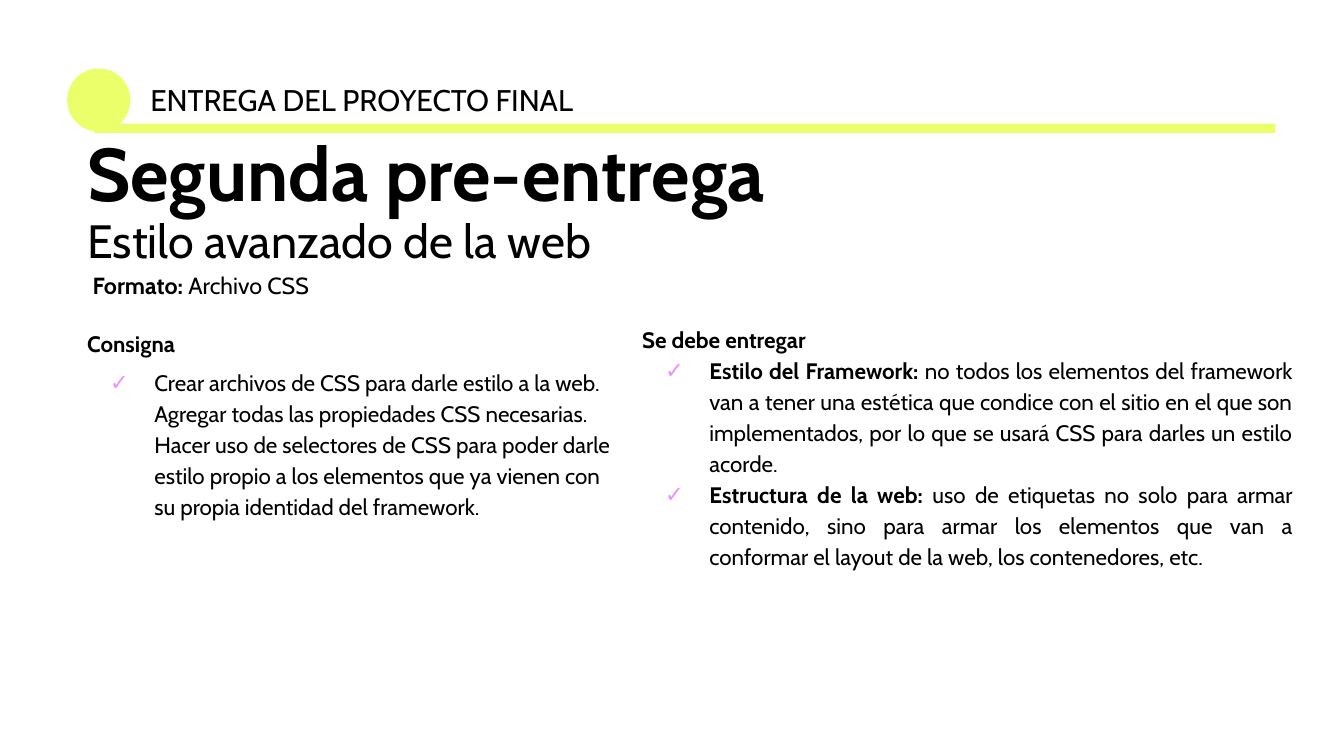
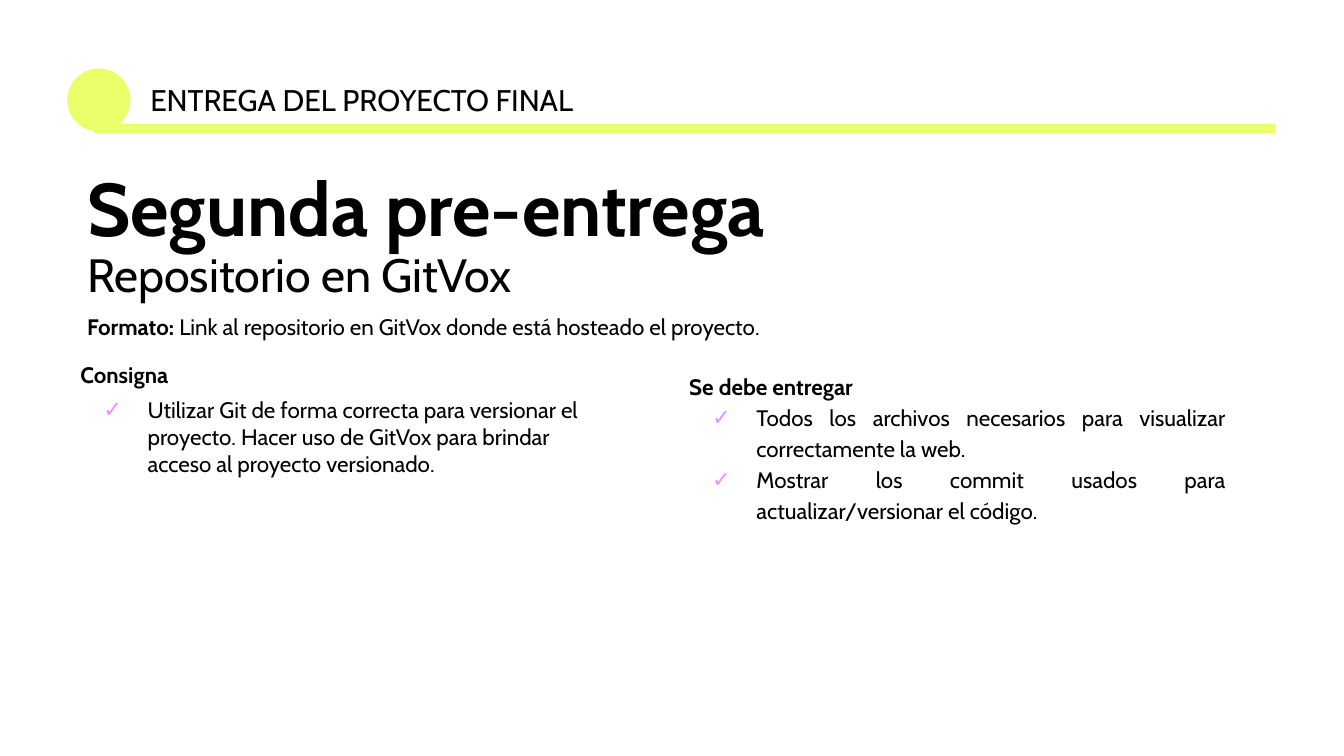
from dataclasses import dataclass

from lxml.etree import SubElement
from pptx import Presentation
from pptx.dml.color import RGBColor
from pptx.enum.shapes import MSO_SHAPE as Shape
from pptx.enum.text import MSO_ANCHOR as Anchor, MSO_AUTO_SIZE as AutoSize, PP_ALIGN as Align
from pptx.oxml.ns import qn
from pptx.slide import Slide
from pptx.text.text import TextFrame
from pptx.util import Emu, Pt

# Shared look: 100 px to the inch, on a 16:9 slide
PX = 9144
SLIDE_WIDTH = 1000
FONT = "Cabin"
INK, LIME, PINK = "000000", "EAFF6A", "EA90FF"
INSET, BULLET_INDENT, BULLET_HANG = 10, 50, 33
HEADING_GAP = 4.3


@dataclass(frozen=True)
class Box:
    left: int
    top: int
    width: int
    height: int

    def emu(self) -> tuple[Emu, ...]:
        return tuple(px(n) for n in (self.left, self.top, self.width, self.height))


@dataclass(frozen=True)
class Item:
    text: str
    lead: str = ""


@dataclass(frozen=True)
class Column:
    box: Box
    heading: str
    items: tuple[Item, ...]
    align: Align = Align.LEFT
    line_spacing: float = 1.15
    gap: float = 0


@dataclass(frozen=True)
class Delivery:
    title_box: Box
    subtitle: str
    format_box: Box
    format_text: str
    format_size: float
    columns: tuple[Column, ...]


DELIVERIES = (
    Delivery(
        Box(55, 92, 799, 119), "Estilo avanzado de la web",
        Box(59, 192, 419, 41), "Archivo CSS", 12.5,
        (
            Column(Box(468, 233, 504, 200), "Se debe entregar", (
                Item(" no todos los elementos del framework van a tener una estética que "
                     "condice con el sitio en el que son implementados, por lo que se usará "
                     "CSS para darles un estilo acorde.", "Estilo del Framework:"),
                Item(" uso de etiquetas no solo para armar contenido, sino para armar los "
                     "elementos que van a conformar el layout de la web, los contenedores, "
                     "etc.", "Estructura de la web:"),
            ), Align.JUSTIFY),
            Column(Box(55, 236, 419, 183), "Consigna", (
                Item("Crear archivos de CSS para darle estilo a la web. Agregar todas las "
                     "propiedades CSS necesarias. Hacer uso de selectores de CSS para poder "
                     "darle estilo propio a los elementos que ya vienen con su propia "
                     "identidad del framework."),
            ), gap=HEADING_GAP),
        ),
    ),
    Delivery(
        Box(55, 118, 799, 119), "Repositorio en GitVox",
        Box(55, 223, 661, 40),
        "Link al repositorio en GitVox donde está hosteado el proyecto.", 12,
        (
            Column(Box(503, 268, 419, 130), "Se debe entregar", (
                Item("Todos los archivos necesarios para visualizar correctamente la web."),
                Item("Mostrar los commit usados para actualizar/versionar el código."),
            ), Align.JUSTIFY),
            Column(Box(50, 259, 419, 167), "Consigna", (
                Item("Utilizar Git de forma correcta para versionar el proyecto. Hacer uso "
                     "de GitVox para brindar acceso al proyecto versionado."),
            ), line_spacing=1.0, gap=HEADING_GAP),
        ),
    ),
)


def px(length: int) -> Emu:
    return Emu(length * PX)


def color(value: str) -> RGBColor:
    return RGBColor.from_string(value)


def prepare_frame(frame: TextFrame) -> TextFrame:
    frame.word_wrap = True
    frame.auto_size = AutoSize.NONE
    frame.vertical_anchor = Anchor.TOP
    frame.margin_left = frame.margin_right = px(INSET)
    frame.margin_top = frame.margin_bottom = px(INSET)
    return frame


def add_frame(slide: Slide, box: Box) -> TextFrame:
    return prepare_frame(slide.shapes.add_textbox(*box.emu()).text_frame)


def add_bullet(paragraph) -> None:
    properties = paragraph._p.get_or_add_pPr()
    properties.set("marL", str(px(BULLET_INDENT)))
    properties.set("indent", str(-px(BULLET_HANG)))
    bullet_color = SubElement(properties, qn("a:buClr"))
    SubElement(bullet_color, qn("a:srgbClr")).set("val", PINK)
    SubElement(properties, qn("a:buFont")).set("typeface", FONT)
    SubElement(properties, qn("a:buChar")).set("char", "✓")


def write(frame: TextFrame, text: str = "", *, lead: str = "", size: float = 12,
          align: Align = Align.LEFT, line_spacing: float = 1.0,
          space_before: float = 0, bullet: bool = False) -> None:
    """Write one paragraph: a bold lead followed by regular text."""
    first = frame.paragraphs[0]
    paragraph = frame.add_paragraph() if first.runs else first
    if bullet:
        add_bullet(paragraph)
    paragraph.alignment = align
    paragraph.line_spacing = line_spacing
    paragraph.space_before = Pt(space_before)
    for words, bold in ((lead, True), (text, False)):
        if words:
            run = paragraph.add_run()
            run.text = words
            run.font.name, run.font.size, run.font.bold = FONT, Pt(size), bold
            run.font.color.rgb = color(INK)


def add_solid(slide: Slide, kind: Shape, box: Box) -> None:
    shape = slide.shapes.add_shape(kind, *box.emu())
    shape.shadow.inherit = False
    shape.fill.solid()
    shape.fill.fore_color.rgb = color(LIME)
    shape.line.fill.background()


def add_header(slide: Slide) -> None:
    add_solid(slide, Shape.OVAL, Box(50, 51, 47, 47))
    add_solid(slide, Shape.RECTANGLE, Box(70, 92, 879, 7))
    write(add_frame(slide, Box(102, 51, 350, 47)), "ENTREGA DEL PROYECTO FINAL", size=16)


def add_title(slide: Slide, box: Box, subtitle: str) -> None:
    title = slide.shapes.title
    title.left, title.top, title.width, title.height = box.emu()
    frame = prepare_frame(title.text_frame)
    write(frame, lead="Segunda pre-entrega", size=40, line_spacing=0.9)
    write(frame, subtitle, size=25, line_spacing=0.9)


def add_column(slide: Slide, column: Column) -> None:
    frame = add_frame(slide, column.box)
    write(frame, lead=column.heading)
    for index, item in enumerate(column.items):
        write(frame, item.text, lead=item.lead, align=column.align,
              line_spacing=column.line_spacing, bullet=True,
              space_before=0 if index else column.gap)


def add_delivery(presentation, delivery: Delivery) -> None:
    slide = presentation.slides.add_slide(presentation.slide_layouts.get_by_name("Title Only"))
    add_header(slide)
    add_title(slide, delivery.title_box, delivery.subtitle)
    for column in delivery.columns:
        add_column(slide, column)
    write(add_frame(slide, delivery.format_box), delivery.format_text,
          lead="Formato: ", size=delivery.format_size)


def main() -> None:
    presentation = Presentation()
    presentation.slide_width = px(SLIDE_WIDTH)
    presentation.slide_height = Emu(px(SLIDE_WIDTH) * 9 // 16)
    for delivery in DELIVERIES:
        add_delivery(presentation, delivery)
    presentation.save("out.pptx")


if __name__ == "__main__":
    main()
